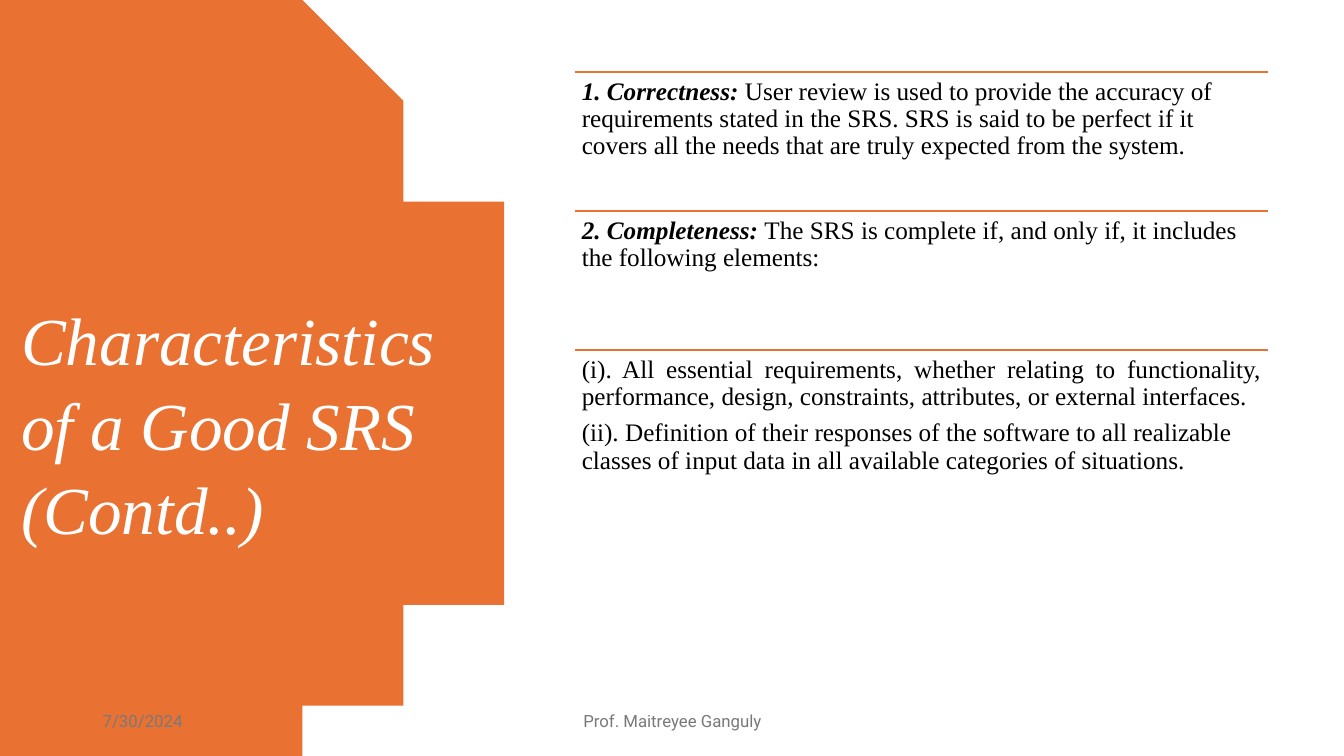
import lxml.etree
import pptx
import pptx.dml.color
import pptx.enum.shapes
import pptx.enum.text
import pptx.oxml.ns
import pptx.util

WIDTH, HEIGHT = 13.33, 7.5
ORANGE, BLACK, WHITE, GREY = "E97132", "000000", "FFFFFF", "797979"
SERIF, SANS = "Times New Roman", "Roboto"
LEFT, COLUMN, TOP, ROW = 5.7, 6.88, 0.71, 1.38
ALIGN = pptx.enum.text.PP_ALIGN
ANCHOR = pptx.enum.text.MSO_ANCHOR
DISC_EDGE = (2.83, 4.09, 4.93, 4.93), (0, 0.77, 2.16, HEIGHT / 2)
CURVE_STEPS = 60

ENTRIES = [
    [(ALIGN.LEFT, "1. Correctness: ",
      "User review is used to provide the accuracy of requirements stated in the SRS. "
      "SRS is said to be perfect if it covers all the needs that are truly expected from the system.")],
    [(ALIGN.LEFT, "2. Completeness: ",
      "The SRS is complete if, and only if, it includes the following elements:")],
    [(ALIGN.JUSTIFY, "",
      "(i). All essential requirements, whether relating to functionality, performance, "
      "design, constraints, attributes, or external interfaces."),
     (ALIGN.LEFT, "",
      "(ii). Definition of their responses of the software to all realizable classes of "
      "input data in all available categories of situations.")],
]


def inches(value):
    return pptx.util.Inches(value)


def color(code):
    return pptx.dml.color.RGBColor.from_string(code)


def apply(target, values):
    for name, value in values.items():
        setattr(target, name, value)


def place(box, left, top, width, height):
    apply(box, dict(left=inches(left), top=inches(top),
                    width=inches(width), height=inches(height)))


def frame_text(box, margins, anchor):
    frame = box.text_frame
    apply(frame, dict(word_wrap=True, vertical_anchor=anchor,
                      auto_size=pptx.enum.text.MSO_AUTO_SIZE.NONE))
    apply(frame, dict(zip(("margin_left", "margin_top", "margin_right", "margin_bottom"),
                          map(inches, margins))))
    return frame


def add_para(frame, first, spans, align, spacing, after=0):
    para = frame.paragraphs[0] if first else frame.add_paragraph()
    apply(para, dict(alignment=align, line_spacing=spacing,
                     space_before=pptx.util.Pt(0), space_after=pptx.util.Pt(after)))
    for text, font, size, code, bold, italic in spans:
        span = para.add_run()
        span.text = text
        apply(span.font, dict(name=font, size=pptx.util.Pt(size), bold=bold, italic=italic))
        span.font.color.rgb = color(code)
    return para


def remove_bullet(para):
    properties = para._p.get_or_add_pPr()
    properties.set("marL", "0")
    properties.set("indent", "0")
    lxml.etree.SubElement(properties, pptx.oxml.ns.qn("a:buNone"))


def bezier(share, points):
    start, near, far, end = points
    rest = 1 - share
    return (rest ** 3 * start + 3 * rest ** 2 * share * near
            + 3 * rest * share ** 2 * far + share ** 3 * end)


def add_disc(page, title):
    upper = [tuple(bezier(step / CURVE_STEPS, axis) for axis in DISC_EDGE)
             for step in range(CURVE_STEPS + 1)]
    lower = [(x, HEIGHT - y) for x, y in reversed(upper[:-1])]
    builder = page.shapes.build_freeform(0, 0, scale=inches(1))
    builder.add_line_segments(upper + lower + [(0, HEIGHT)], close=True)
    disc = builder.convert_to_shape()
    disc.shadow.inherit = False
    disc.fill.solid()
    disc.fill.fore_color.rgb = color(ORANGE)
    disc.line.fill.background()
    title.element.addprevious(disc.element)


def add_rule(page, top):
    rule = page.shapes.add_connector(
        pptx.enum.shapes.MSO_CONNECTOR.STRAIGHT,
        inches(LEFT), inches(top), inches(LEFT + COLUMN), inches(top))
    rule.line.color.rgb = color(ORANGE)
    rule.line.width = pptx.util.Pt(1.5)
    lxml.etree.SubElement(rule.element.spPr, pptx.oxml.ns.qn("a:effectLst"))


def fill_title(title):
    place(title, 0.11, 2.87, 4.46, 2.52)
    frame = frame_text(title, (0.1, 0.05, 0.1, 0.05), ANCHOR.TOP)
    for index, text in enumerate(("Characteristics of a Good SRS", "(Contd..)")):
        add_para(frame, index == 0, [(text, SERIF, 48, WHITE, False, True)], ALIGN.LEFT, 1.05)


def fill_entry(body, top, height, entry):
    place(body, LEFT, top, COLUMN, height)
    frame = frame_text(body, (0.07,) * 4, ANCHOR.TOP)
    for index, (align, heading, text) in enumerate(entry):
        spans = [(heading, SERIF, 18, BLACK, True, True)] if heading else []
        spans.append((text, SERIF, 18, BLACK, False, False))
        remove_bullet(add_para(frame, index == 0, spans, align, 0.9, 6.3))


def add_footer(page, left, width, text, align):
    box = page.shapes.add_textbox(inches(left), inches(6.95), inches(width), inches(0.4))
    frame = frame_text(box, (0.1, 0.05, 0.1, 0.05), ANCHOR.MIDDLE)
    add_para(frame, True, [(text, SANS, 12, GREY, False, False)], align, 1.0)


def main():
    deck = pptx.Presentation()
    apply(deck, dict(slide_width=inches(WIDTH), slide_height=inches(HEIGHT)))
    page = deck.slides.add_slide(deck.slide_layouts.get_by_name("Comparison"))
    title, *bodies = page.placeholders
    add_disc(page, title)
    fill_title(title)
    for index, (body, entry) in enumerate(zip(bodies, ENTRIES)):
        top = TOP + index * ROW
        add_rule(page, top)
        fill_entry(body, top, 2.53 if len(entry) > 1 else ROW, entry)
    for spare in bodies[len(ENTRIES):]:
        spare.element.getparent().remove(spare.element)
    add_footer(page, 0.92, 3, "7/30/2024", ALIGN.LEFT)
    add_footer(page, 4.42, 4.5, "Prof. Maitreyee Ganguly", ALIGN.CENTER)
    deck.save("out.pptx")


if __name__ == "__main__":
    main()
